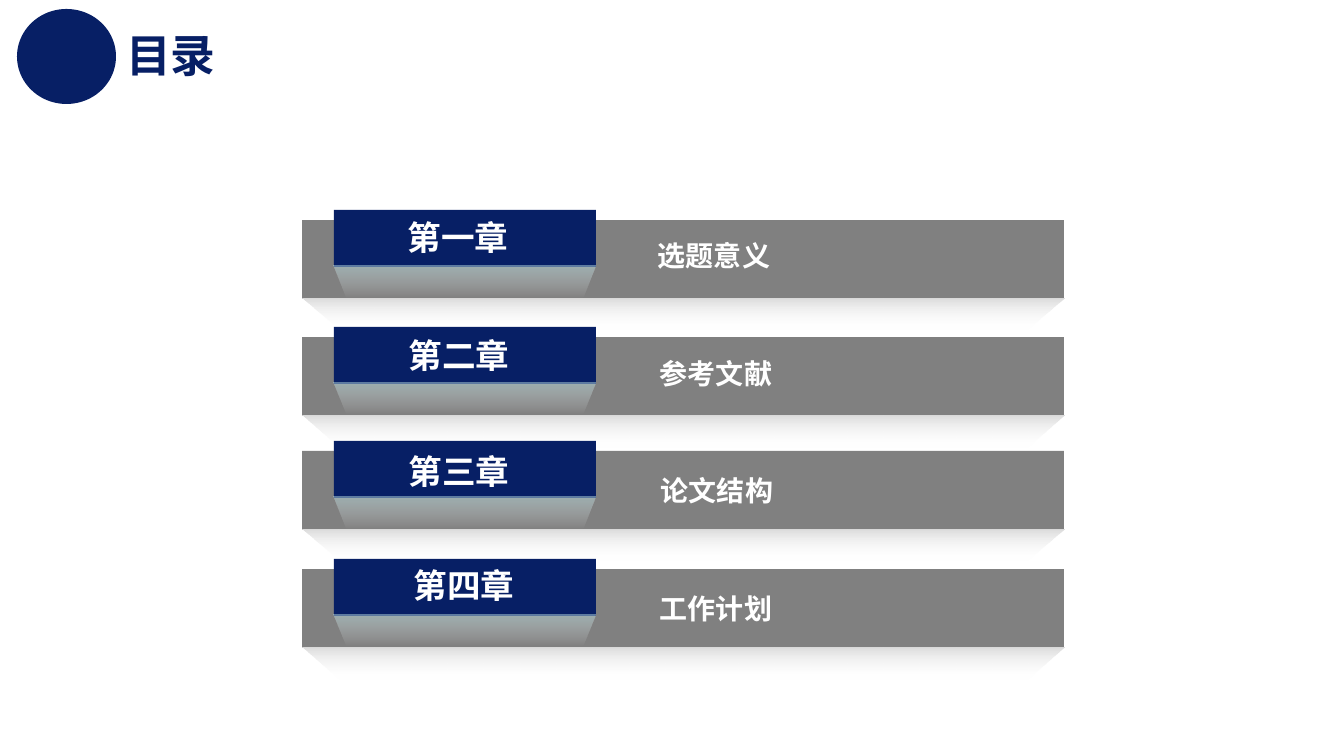
from dataclasses import dataclass

from lxml import etree
from pptx import Presentation
from pptx.dml.color import RGBColor
from pptx.enum.shapes import MSO_SHAPE
from pptx.enum.text import MSO_ANCHOR, MSO_AUTO_SIZE, PP_ALIGN
from pptx.oxml.ns import qn
from pptx.util import Pt

RECT, OVAL = MSO_SHAPE.RECTANGLE, MSO_SHAPE.OVAL
LEFT, CENTER = PP_ALIGN.LEFT, PP_ALIGN.CENTER
BOTTOM, TOP = MSO_ANCHOR.BOTTOM, MSO_ANCHOR.TOP
NO_FIT, GROW = MSO_AUTO_SIZE.NONE, MSO_AUTO_SIZE.SHAPE_TO_FIT_TEXT
TITLE_ONLY = 5

TITLE = "目录"
# bar top, chapter, chapter position, topic, topic position
CHAPTERS = [
    (220, "第一章", (363, 212), "选题意义", (648, 234)),
    (337, "第二章", (364, 330), "参考文献", (650, 352)),
    (451, "第三章", (364, 446), "论文结构", (651, 469)),
    (569, "第四章", (369, 560), "工作计划", (650, 587)),
]


@dataclass(frozen=True)
class Theme:
    navy: str = "071F65"
    grey: str = "808080"
    white: str = "FFFFFF"
    floor_shadow: tuple = (("DDDDDD", 100), ("FFFFFF", 0))
    tab_shadow: tuple = (("BBE0E3", 50), ("FFFFFF", 0))
    title_font: str = "Montserrat"
    cjk_font: str = "Noto Sans CJK SC"
    title_size: int = 32
    chapter_size: int = 24
    topic_size: int = 20


THEME = Theme()
SCALE = 914400 / 100.8
SLIDE_W, SLIDE_H = 1344, 756
BAR_X, BAR_W, BAR_H = 302, 762, 79
TAB_X, TAB_W, TAB_H, TAB_RISE = 334, 262, 57, 10
SHADOW_H, FLOOR_INSET, TAB_INSET = 31, 38, 13


def emu(*lengths):
    return [round(n * SCALE) for n in lengths]


def add_solid(shapes, kind, box, color):
    sp = shapes.add_shape(kind, *emu(*box))
    sp.shadow.inherit = False
    sp.fill.solid()
    sp.fill.fore_color.rgb = RGBColor.from_string(color)
    sp.line.fill.background()


def add_cast_shadow(shapes, x, y, w, inset, stops):
    """Draw a trapezoid narrowing downwards that fades out; stops are (colour, opacity %)."""
    points = [(x + inset, y + SHADOW_H), (x + w - inset, y + SHADOW_H), (x + w, y)]
    builder = shapes.build_freeform(x, y, scale=SCALE)
    builder.add_line_segments(points, close=True)
    sp = builder.convert_to_shape()
    sp.shadow.inherit = False
    sp.line.fill.background()
    sp.fill.gradient()
    sp.fill.gradient_angle = 270
    for stop, position, (color, _) in zip(sp.fill.gradient_stops, (0, 1), stops):
        stop.position = position
        stop.color.rgb = RGBColor.from_string(color)
    for clr, (_, opacity) in zip(sp._element.spPr.iter(qn("a:srgbClr")), stops):
        if opacity < 100:
            etree.SubElement(clr, qn("a:alpha")).set("val", str(opacity * 1000))


def write_text(sp, text, size, color, font, align, anchor, fit):
    tf = sp.text_frame
    for name, value in dict(word_wrap=True, auto_size=fit, vertical_anchor=anchor).items():
        setattr(tf, name, value)
    p = tf.paragraphs[0]
    p.alignment = align
    r = p.add_run()
    r.text = text
    for name, value in dict(name=font, size=Pt(size), bold=True).items():
        setattr(r.font, name, value)
    r.font.color.rgb = RGBColor.from_string(color)
    etree.SubElement(r.font._element, qn("a:ea")).set("typeface", THEME.cjk_font)
    return p


def add_label(shapes, box, text, size, align):
    sp = shapes.add_textbox(*emu(*box))
    write_text(sp, text, size, THEME.white, THEME.cjk_font, align, TOP, GROW)


def add_chapter(shapes, top, chapter, chapter_at, topic, topic_at):
    banner = shapes.add_group_shape().shapes
    tab_top = top - TAB_RISE
    add_solid(banner, RECT, (BAR_X, top, BAR_W, BAR_H), THEME.grey)
    add_solid(banner, RECT, (TAB_X, tab_top, TAB_W, TAB_H), THEME.navy)
    add_cast_shadow(banner, BAR_X, top + BAR_H, BAR_W, FLOOR_INSET, THEME.floor_shadow)
    add_cast_shadow(banner, TAB_X, tab_top + TAB_H - 1, TAB_W, TAB_INSET, THEME.tab_shadow)
    add_label(shapes, (*chapter_at, 190, 50), chapter, THEME.chapter_size, CENTER)
    add_label(shapes, (*topic_at, 381, 44), topic, THEME.topic_size, LEFT)


def main():
    prs = Presentation()
    prs.slide_width, prs.slide_height = emu(SLIDE_W, SLIDE_H)
    slide = prs.slides.add_slide(prs.slide_layouts[TITLE_ONLY])
    title = slide.shapes.title
    title.left, title.top, title.width, title.height = emu(116, 9, 1219, 78)
    p = write_text(title, TITLE, THEME.title_size, THEME.navy, THEME.title_font,
                   LEFT, BOTTOM, NO_FIT)
    p.line_spacing = 0.9
    add_solid(slide.shapes, OVAL, (17, 9, 99, 95), THEME.navy)
    for chapter in CHAPTERS:
        add_chapter(slide.shapes, *chapter)
    prs.save("out.pptx")


if __name__ == "__main__":
    main()
